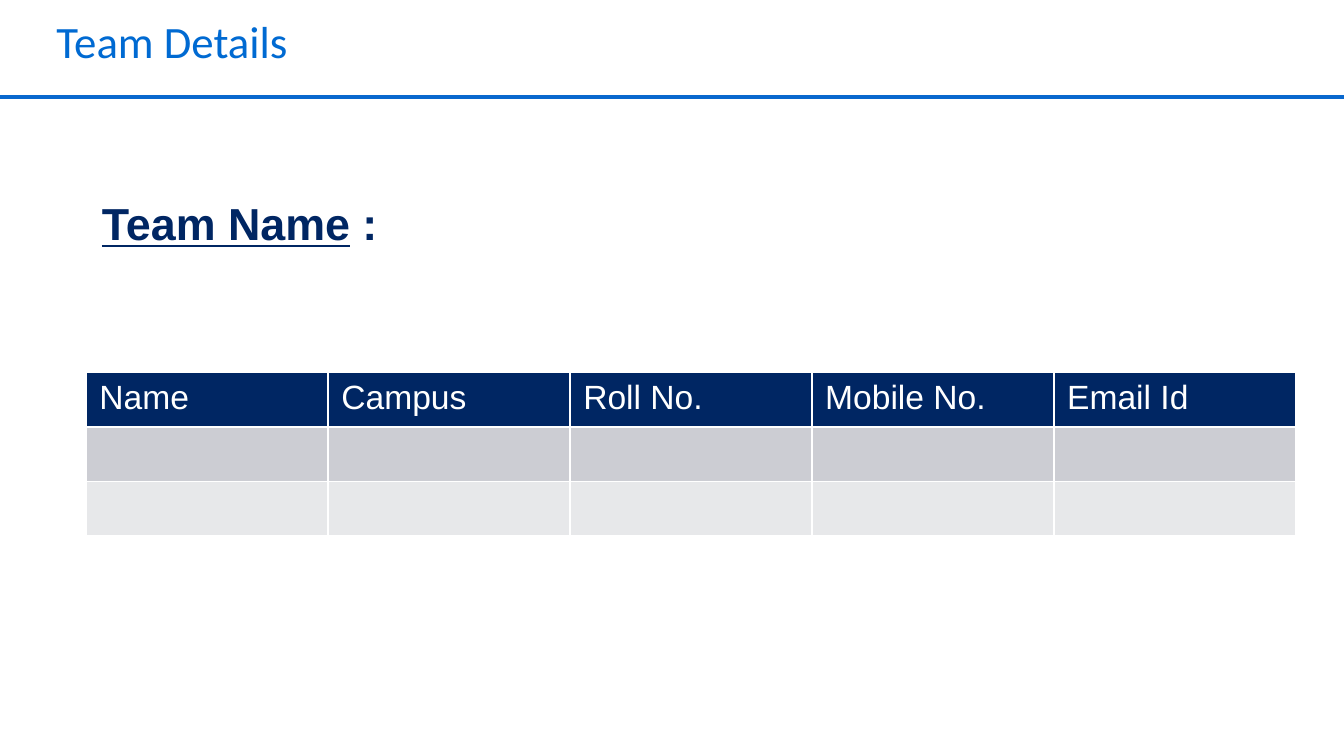
from dataclasses import dataclass

import pptx
import pptx.dml.color
import pptx.enum.shapes
import pptx.oxml.ns
import pptx.util
from lxml import etree
from pptx.util import Inches


@dataclass(frozen=True)
class Theme:
    title: str = "006AD2"
    rule: str = "0968CE"
    navy: str = "002663"
    white: str = "FFFFFF"
    bands: tuple = ("CCCDD3", "E7E8EA")
    title_font: str = "Calibri"
    body_font: str = "Arial"
    heading_size: int = 24
    table_size: int = 18


theme = Theme()


def rgb(value):
    return pptx.dml.color.RGBColor.from_string(value)


def style_span(span, font, size, color, bold=False):
    span.font.name = font
    span.font.size = pptx.util.Pt(size)
    span.font.color.rgb = rgb(color)
    span.font.bold = bold


deck = pptx.Presentation()
deck.slide_width = Inches(10)
deck.slide_height = Inches(10 * 9 / 16)
page = deck.slides.add_slide(deck.slide_layouts[6])

# Title and the rule below it
title_box = page.shapes.add_textbox(Inches(0.42), Inches(0.17), Inches(9), Inches(0.82))
frame = title_box.text_frame
frame.word_wrap = True
frame.margin_left = frame.margin_top = frame.margin_right = frame.margin_bottom = 0
frame.text = "Team Details"
para = frame.paragraphs[0]
para.line_spacing = 0.82
style_span(para.runs[0], theme.title_font, theme.heading_size, theme.title)

rule = page.shapes.add_connector(
    pptx.enum.shapes.MSO_CONNECTOR.STRAIGHT, 0, Inches(0.72), Inches(10), Inches(0.72)
)
rule.line.color.rgb = rgb(theme.rule)
rule.line.width = pptx.util.Pt(2)
etree.SubElement(rule._element.spPr, pptx.oxml.ns.qn("a:effectLst"))

# Team members; the default table style draws the white borders
headers = ["Name", "Campus", "Roll No.", "Mobile No.", "Email Id"]
row_fills = (theme.navy, *theme.bands)
table = page.shapes.add_table(
    len(row_fills), len(headers), Inches(0.64), Inches(2.77), Inches(9), Inches(1.22)
).table
for row, fill in zip(table.rows, row_fills):
    for cell in row.cells:
        cell.fill.solid()
        cell.fill.fore_color.rgb = rgb(fill)
for cell, header in zip(table.rows[0].cells, headers):
    cell.text = header
    style_span(cell.text_frame.paragraphs[0].runs[0],
               theme.body_font, theme.table_size, theme.white)

# Team name
name_box = page.shapes.add_textbox(Inches(0.66), Inches(1.41), Inches(3.95), Inches(0.5))
name_box.text_frame.word_wrap = True
para = name_box.text_frame.paragraphs[0]
for text, underlined in (("Team Name", True), (" :", False)):
    span = para.add_run()
    span.text = text
    style_span(span, theme.body_font, theme.heading_size, theme.navy, bold=True)
    span.font.underline = underlined

deck.save("out.pptx")
